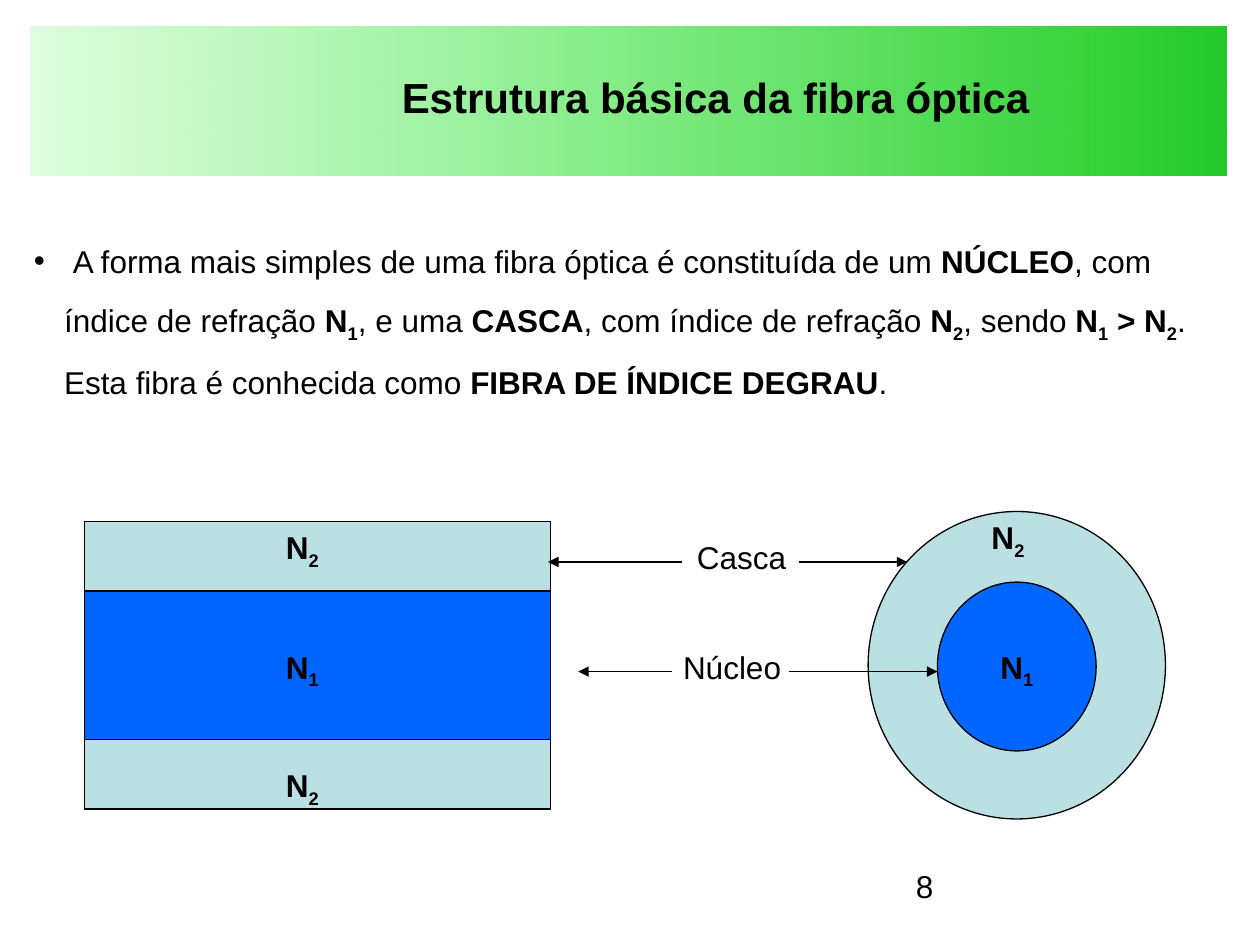
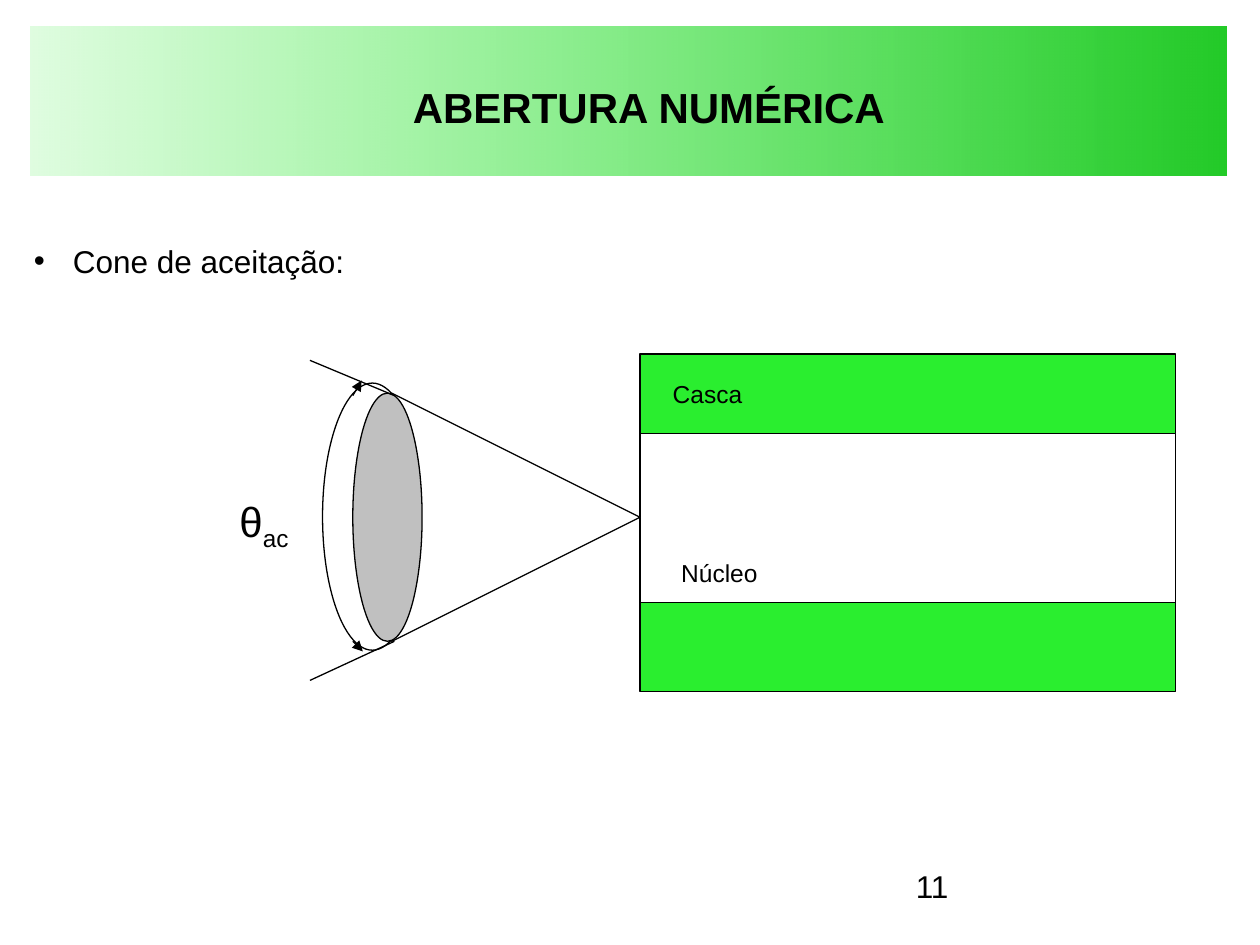
from dataclasses import dataclass

from lxml.etree import SubElement
from pptx import Presentation
from pptx.dml.color import RGBColor
from pptx.enum.shapes import MSO_CONNECTOR, MSO_SHAPE
from pptx.enum.text import MSO_AUTO_SIZE, PP_ALIGN
from pptx.oxml.ns import qn
from pptx.util import Emu, Pt

EMU_PER_PX = 9144  # 100 px to the inch


@dataclass(frozen=True)
class Theme:
    font: str = "Arial"
    ink: str = "000000"
    paper: str = "FFFFFF"
    band: str = "23CB28"
    green: str = "2AEE2F"
    cladding: str = "BBE0E3"
    core: str = "0066FF"
    lens: str = "C0C0C0"
    title_size: int = 24
    body_size: int = 18
    small_size: int = 14
    line_width: float = 0.75


THEME = Theme()
PLAIN, BOLD, SUB, BOLD_SUB = "plain", "bold", "sub", "bold sub"


def px(length):
    return Emu(length * EMU_PER_PX)


def rgb(color):
    return RGBColor.from_string(color)


def write_runs(paragraph, runs, size):
    """Write (text, style) pairs as formatted runs."""
    for text, style in runs:
        run = paragraph.add_run()
        run.text = text
        run.font.name = THEME.font
        run.font.size = Pt(size)
        run.font.bold = "bold" in style
        run.font.color.rgb = rgb(THEME.ink)
        if "sub" in style:
            run.font._element.set("baseline", "-25000")


def add_text(slide, box, runs, size=THEME.body_size, wrap=False, align=PP_ALIGN.CENTER):
    text_frame = slide.shapes.add_textbox(*map(px, box)).text_frame
    text_frame.word_wrap = wrap
    if not wrap:
        text_frame.auto_size = MSO_AUTO_SIZE.SHAPE_TO_FIT_TEXT
    paragraph = text_frame.paragraphs[0]
    paragraph.alignment = align
    write_runs(paragraph, runs, size)
    return paragraph


def add_bullet(slide, height, runs):
    paragraph = add_text(slide, (17, 172, 947, height), runs, wrap=True, align=PP_ALIGN.LEFT)
    paragraph.line_spacing = 1.5
    properties = paragraph._p.get_or_add_pPr()
    properties.set("marL", str(px(24)))
    properties.set("indent", str(px(-24)))
    SubElement(properties, qn("a:buFont"), typeface=THEME.font)
    SubElement(properties, qn("a:buChar"), char="•")


def add_figure(slide, kind, box, color=None, rotation=0):
    """Add an outlined shape, hollow when no color is given."""
    shape = slide.shapes.add_shape(kind, *map(px, box))
    shape.shadow.inherit = False
    shape.rotation = rotation
    if color:
        shape.fill.solid()
        shape.fill.fore_color.rgb = rgb(color)
    else:
        shape.fill.background()
    shape.line.color.rgb = rgb(THEME.ink)
    shape.line.width = Pt(THEME.line_width)


def add_line(slide, start, end, arrow=False):
    connector = slide.shapes.add_connector(MSO_CONNECTOR.STRAIGHT, *map(px, start + end))
    connector.line.color.rgb = rgb(THEME.ink)
    connector.line.width = Pt(THEME.line_width)
    if arrow:
        SubElement(connector.line._get_or_add_ln(), qn("a:tailEnd"), type="triangle")
    SubElement(connector._element.spPr, qn("a:effectLst"))


def add_band(slide):
    band = slide.shapes.add_shape(MSO_SHAPE.RECTANGLE, *map(px, (24, 21, 949, 118)))
    band.shadow.inherit = False
    band.line.fill.background()
    band.fill.gradient()
    band.fill.gradient_angle = 180
    solid, faded = band.fill.gradient_stops
    solid.color.rgb = rgb(THEME.band)
    solid.position = 0
    faded.color.rgb = rgb(THEME.green)
    faded.position = 1
    faded_color = band._element.spPr.findall(".//" + qn("a:srgbClr"))[-1]
    SubElement(faded_color, qn("a:alpha"), val="15000")


def start_slide(presentation, title, title_box, number):
    slide = presentation.slides.add_slide(presentation.slide_layouts[6])
    add_band(slide)
    add_text(slide, title_box, [(title, BOLD)], THEME.title_size)
    add_text(slide, (717, 683, 233, 51), [(number, PLAIN)], wrap=True, align=PP_ALIGN.LEFT)
    return slide


def build_structure_slide(presentation):
    slide = start_slide(presentation, "Estrutura básica da fibra óptica", (309, 52, 518, 50), "8")
    n1 = [("N", BOLD), ("1", BOLD_SUB)]
    n2 = [("N", BOLD), ("2", BOLD_SUB)]
    add_bullet(slide, 151, [
        (" ", BOLD),
        ("A forma mais simples de uma fibra óptica é constituída de um ", PLAIN),
        ("NÚCLEO", BOLD), (", com índice de refração ", PLAIN), *n1,
        (", e uma ", PLAIN), ("CASCA", BOLD), (", com índice de refração ", PLAIN), *n2,
        (", sendo ", PLAIN), *n1, (" > ", BOLD), *n2,
        (". Esta fibra é conhecida como ", PLAIN),
        ("FIBRA DE ÍNDICE DEGRAU", BOLD), (".", PLAIN),
    ])

    side_view, end_view = MSO_SHAPE.RECTANGLE, MSO_SHAPE.OVAL
    add_figure(slide, side_view, (67, 414, 370, 228), THEME.cladding)
    add_figure(slide, side_view, (67, 469, 370, 118), THEME.core)
    add_figure(slide, end_view, (689, 406, 236, 244), THEME.cladding)
    add_figure(slide, end_view, (744, 462, 126, 134), THEME.core)

    add_text(slide, (532, 509, 98, 40), [("Núcleo", PLAIN)])
    add_text(slide, (543, 422, 91, 40), [("Casca", PLAIN)])
    for start, end, level in (
        (634, 720, 446), (626, 744, 533), (533, 459, 533), (541, 435, 446),
    ):
        add_line(slide, (start, level), (end, level), arrow=True)

    for left, top, index in (
        (217, 509, n1), (784, 509, n1),
        (217, 414, n2), (777, 406, n2), (217, 603, n2),
    ):
        add_text(slide, (left, top, 46, 44), index)


def build_aperture_slide(presentation):
    slide = start_slide(presentation, "ABERTURA NUMÉRICA", (317, 60, 396, 50), "11")
    add_bullet(slide, 100, [(" Cone de aceitação:", PLAIN)])

    add_figure(slide, MSO_SHAPE.OVAL, (256, 304, 79, 212))
    add_figure(slide, MSO_SHAPE.RECTANGLE, (508, 281, 425, 268), THEME.green)
    add_figure(slide, MSO_SHAPE.RECTANGLE, (508, 344, 425, 134), THEME.paper)
    add_figure(slide, MSO_SHAPE.FLOWCHART_MERGE, (311, 312, 197, 197), THEME.paper, rotation=270)
    add_figure(slide, MSO_SHAPE.OVAL, (280, 312, 55, 197), THEME.lens)

    add_line(slide, (313, 509), (246, 540))
    add_line(slide, (313, 314), (246, 286))
    add_line(slide, (280, 314), (287, 302), arrow=True)
    add_line(slide, (280, 509), (288, 517), arrow=True)

    add_text(slide, (180, 388, 59, 56), [("θ", PLAIN), ("ac", SUB)], THEME.title_size)
    add_text(slide, (522, 296, 79, 34), [("Casca", PLAIN)], THEME.small_size)
    add_text(slide, (528, 438, 86, 34), [("Núcleo", PLAIN)], THEME.small_size)


def main():
    presentation = Presentation()
    presentation.slide_width = px(1000)
    presentation.slide_height = px(750)
    build_structure_slide(presentation)
    build_aperture_slide(presentation)
    presentation.save("out.pptx")


if __name__ == "__main__":
    main()
